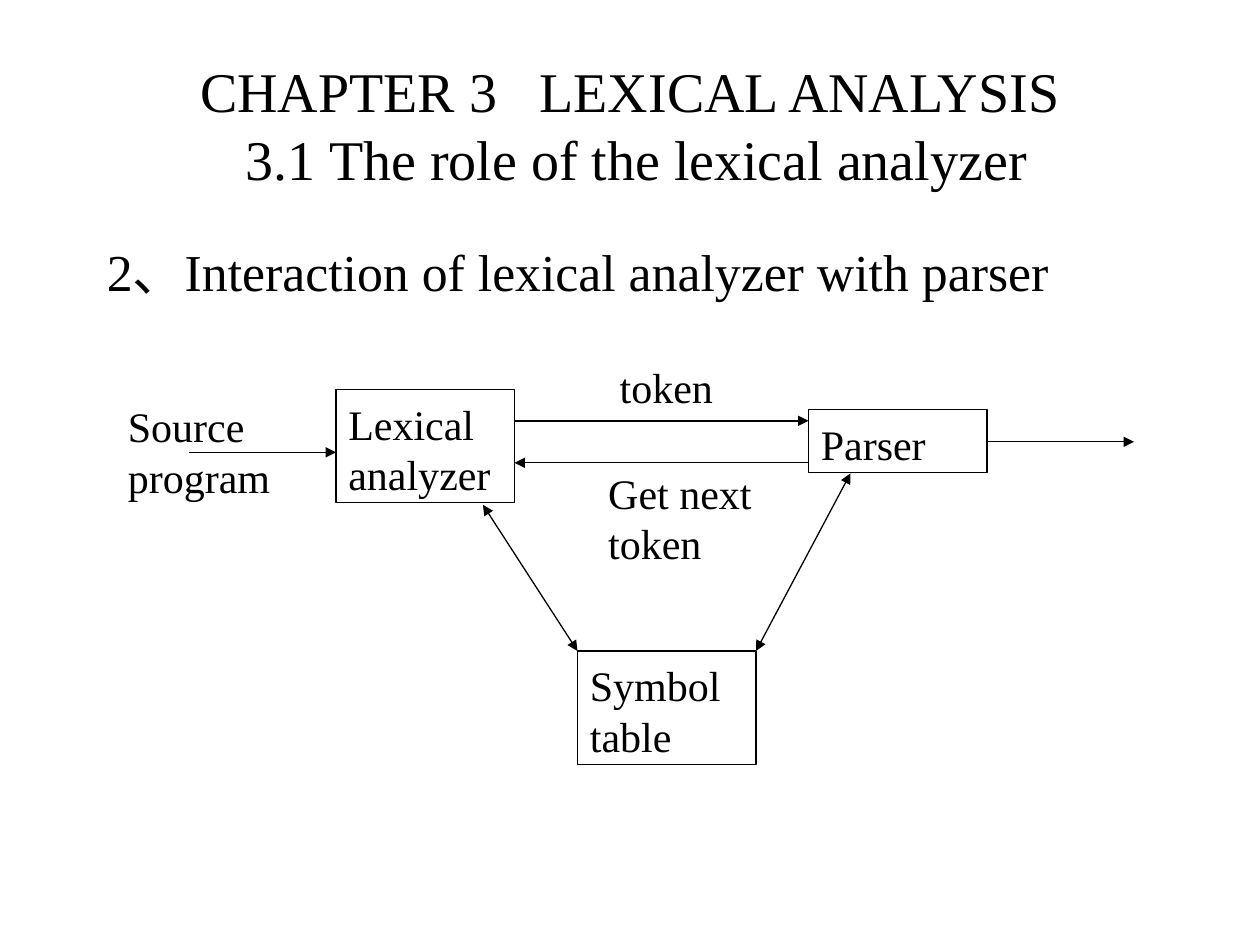
from dataclasses import dataclass

from lxml.etree import SubElement
from pptx import Presentation
from pptx.dml.color import RGBColor
from pptx.enum.shapes import MSO_CONNECTOR as CONN, MSO_SHAPE as SHAPE
from pptx.enum.text import MSO_ANCHOR as ANCHOR, PP_ALIGN as ALIGN
from pptx.oxml.ns import qn
from pptx.util import Pt


@dataclass(frozen=True)
class Theme:
    font: str = "Times New Roman"
    ink: RGBColor = RGBColor(0, 0, 0)
    title: float = 32
    heading: float = 29.6
    label: float = 24
    leading: float = 1.2
    line: float = 0.75


class Deck:
    def __init__(self, theme):
        self.theme = theme
        self.prs = Presentation()
        self.prs.slide_width, self.prs.slide_height = Pt(720), Pt(540)
        self.s = self.prs.slides.add_slide(self.prs.slide_layouts[6])

    def style(self, p, size, align=ALIGN.LEFT):
        p.alignment = align
        p.line_spacing = Pt(round(size * self.theme.leading, 1))
        p.font.name, p.font.size = self.theme.font, Pt(size)
        p.font.color.rgb = self.theme.ink

    def frame(self, sp, wrap=True, anchor=ANCHOR.TOP):
        tf = sp.text_frame
        tf.word_wrap, tf.vertical_anchor = wrap, anchor
        tf.margin_left = tf.margin_right = Pt(7.2)
        tf.margin_top, tf.margin_bottom = Pt(5), Pt(2.2)
        return tf

    def text(self, text, x, y, w, h, size=None, wrap=True):
        sp = self.s.shapes.add_textbox(Pt(x), Pt(y), Pt(w), Pt(h))
        p = self.frame(sp, wrap).paragraphs[0]
        p.text = text
        self.style(p, size or self.theme.label)
        return p

    def title(self, chapter, name, section, x, y, w, h):
        sp = self.s.shapes.add_textbox(Pt(x), Pt(y), Pt(w), Pt(h))
        tf = self.frame(sp, anchor=ANCHOR.MIDDLE)
        first, second = tf.paragraphs[0], tf.add_paragraph()
        for part in (chapter, " ", name):
            r = first.add_run()
            r.text = part
            if part == " ":  # widen the gap between number and name
                r.font._element.set("spc", "1600")
        second.text = section
        second._p.get_or_add_pPr().set("marL", str(Pt(8)))
        for p in tf.paragraphs:
            self.style(p, self.theme.title, ALIGN.CENTER)

    def box(self, text, x, y, w, h):
        sp = self.s.shapes.add_shape(SHAPE.RECTANGLE, Pt(x), Pt(y), Pt(w), Pt(h))
        sp.shadow.inherit = False
        sp.fill.background()
        sp.line.color.rgb, sp.line.width = self.theme.ink, Pt(self.theme.line)
        p = self.frame(sp).paragraphs[0]
        p.text = text
        self.style(p, self.theme.label)

    def arrow(self, x1, y1, x2, y2, both=False):
        c = self.s.shapes.add_connector(CONN.STRAIGHT, Pt(x1), Pt(y1), Pt(x2), Pt(y2))
        c.line.color.rgb, c.line.width = self.theme.ink, Pt(self.theme.line)
        ln = c.line._get_or_add_ln()
        for end in ("a:headEnd", "a:tailEnd") if both else ("a:tailEnd",):
            SubElement(ln, qn(end), type="triangle")
        SubElement(c._element.spPr, qn("a:effectLst"))


def main():
    theme = Theme()
    d = Deck(theme)

    # Title and heading
    d.title("CHAPTER 3", "LEXICAL ANALYSIS",
            "3.1 The role of the lexical analyzer", 54, 12.5, 612, 114)
    p = d.text("2、Interaction of lexical analyzer with parser",
               54, 132, 612, 66, theme.heading)
    pPr = p._p.get_or_add_pPr()
    pPr.set("marL", str(Pt(27)))
    pPr.set("indent", str(Pt(-27)))

    # Components
    box_w, one_line, two_lines = 102, 36, 64.8
    lexer_x, parser_x, table_x, table_y = 192, 462, 330, 372
    lexer_r, parser_r, table_r = (x + box_w for x in (lexer_x, parser_x, table_x))
    d.box("Lexical analyzer", lexer_x, 222.5, box_w, two_lines)
    d.box("Parser", parser_x, 234, box_w, one_line)
    d.box("Symbol table", table_x, table_y, box_w, two_lines)

    # Data flow
    reach = 84
    d.arrow(lexer_r, 240.5, parser_x, 240.5)
    d.arrow(parser_x, 264.5, lexer_r, 264.5)
    d.arrow(lexer_x - reach, 258.5, lexer_x, 258.5)
    d.arrow(parser_r, 252.5, parser_r + reach, 252.5)
    d.arrow(276, 288.5, table_x, table_y, both=True)
    d.arrow(486, 270.5, table_r, table_y, both=True)

    # Flow labels
    d.text("Source program", 66, 224, 108, two_lines)
    d.text("token", 347, 201.5, 68, one_line, wrap=False)
    d.text("Get next token", 340.5, 262, 103, two_lines)

    d.prs.save("out.pptx")


if __name__ == "__main__":
    main()
